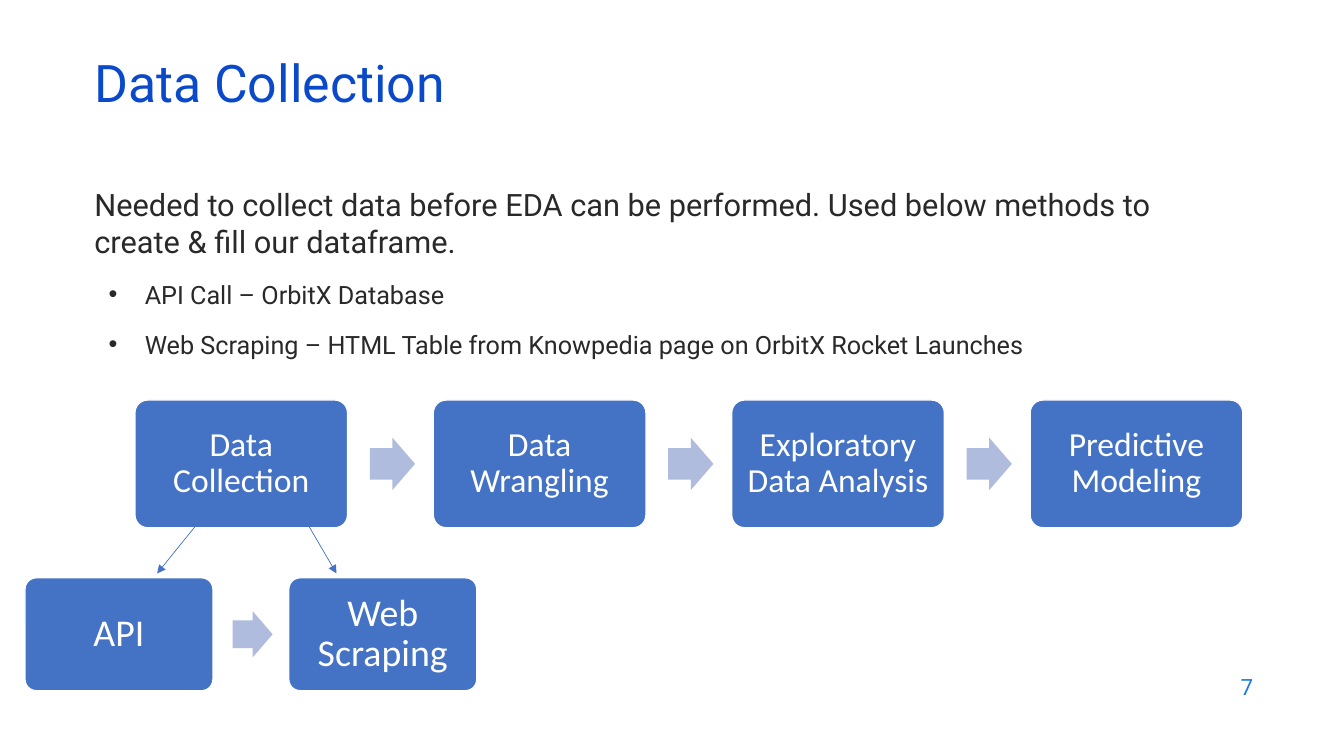
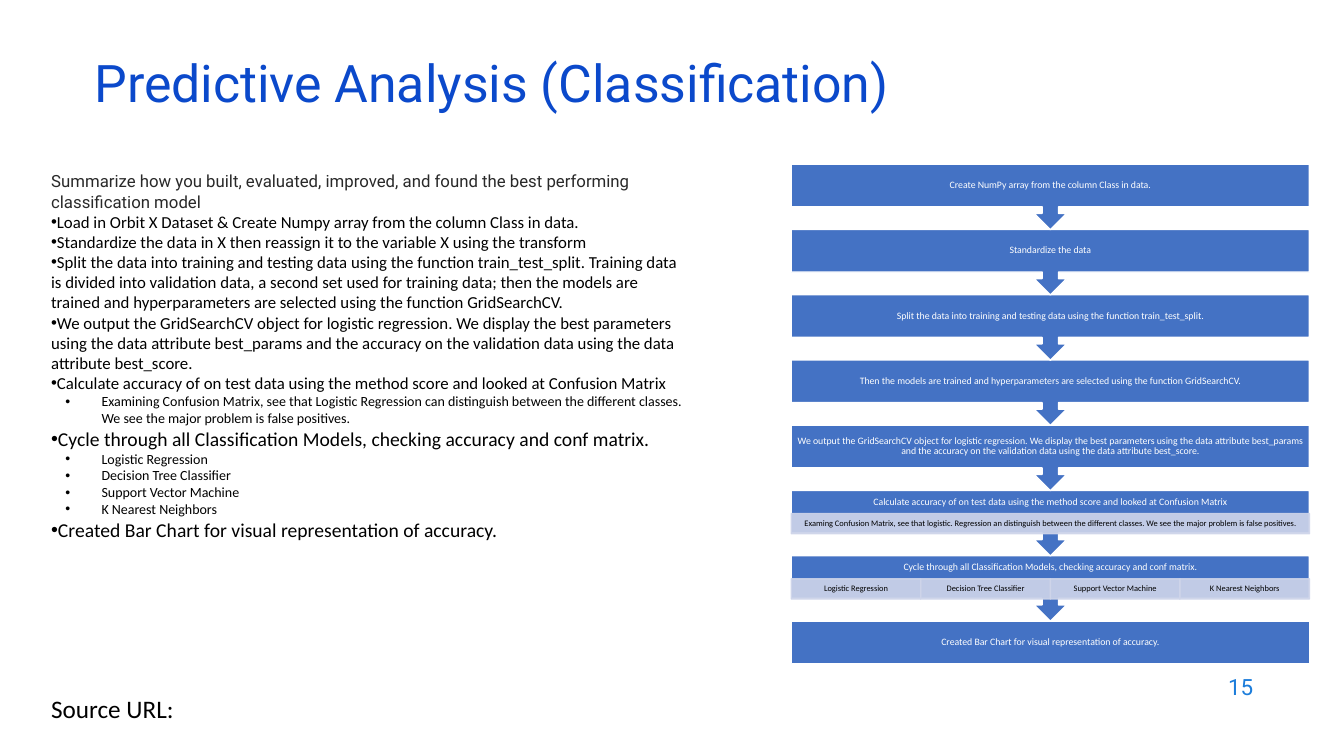
from lxml.etree import SubElement
from pptx import Presentation
from pptx.dml.color import RGBColor
from pptx.enum.shapes import MSO_CONNECTOR, MSO_SHAPE as Shape
from pptx.enum.text import MSO_ANCHOR as Anchor, PP_ALIGN as Align
from pptx.oxml.ns import qn
from pptx.util import Cm, Pt

BLUE, PALE_BLUE, ARROW_BLUE = "4472C4", "CFD5EA", "B0BCDE"
TITLE_BLUE, NUMBER_BLUE = "0B49CB", "1C7DDB"
WHITE, BLACK, DARK = "FFFFFF", "000000", "292929"
HEADING_FONT, BODY_FONT = "Roboto", "Calibri"
color = RGBColor.from_string


def write(paragraph, text, size, font=BODY_FONT, ink=BLACK, level=None):
    paragraph.text = text
    if level is not None:
        properties = paragraph._p.get_or_add_pPr()
        properties.set("marL", str(Cm(1.27 * level)))
        properties.set("indent", str(Cm(-0.91 * level)))
        SubElement(properties, qn("a:buFont"), typeface="Arial")
        SubElement(properties, qn("a:buChar"), char="•")
    paragraph.font.size = Pt(size)
    paragraph.font.name = font
    paragraph.font.color.rgb = color(ink)


def add_box(slide, kind, left, top, width, height, fill, line=None,
            text="", size=12, ink=WHITE, insets=(0, 0, 0)):
    shape = slide.shapes.add_shape(kind, Cm(left), Cm(top), Cm(width), Cm(height))
    shape.shadow.inherit = False
    shape.fill.solid()
    shape.fill.fore_color.rgb = color(fill)
    if line:
        shape.line.color.rgb = color(line)
        shape.line.width = Pt(1)
    else:
        shape.line.fill.background()
    if text:
        frame = shape.text_frame
        frame.word_wrap = True
        frame.vertical_anchor = Anchor.MIDDLE
        side, above, below = insets
        frame.margin_left = frame.margin_right = Cm(side)
        frame.margin_top, frame.margin_bottom = Cm(above), Cm(below)
        paragraph = frame.paragraphs[0]
        paragraph.alignment = Align.CENTER
        paragraph.line_spacing = 0.9
        write(paragraph, text, size, ink=ink)
    return shape


presentation = Presentation()
presentation.slide_width = Cm(33.87)
presentation.slide_height = Cm(19.05)

pages = [
    ("Data Collection", "7", (2.13, 4.55, 29.21, 4.98), 14, [
        ("Needed to collect data before EDA can be performed. Used below methods to create & fill our dataframe.",
         22, HEADING_FONT, DARK, None),
        ("API Call – OrbitX Database", 18, HEADING_FONT, DARK, 1),
        ("Web Scraping – HTML Table from Knowpedia page on OrbitX Rocket Launches",
         18, HEADING_FONT, DARK, 1),
    ]),
    ("Predictive Analysis (Classification)", "15", (1.04, 4.19, 16.43, 12.98), 0, [
        ("Summarize how you built, evaluated, improved, and found the best performing classification model",
         12, HEADING_FONT, DARK, None),
        ("Load in Orbit X Dataset & Create Numpy array from the column Class in data.",
         12, BODY_FONT, BLACK, 0),
        ("Standardize the data in X then reassign it to the variable X using the transform",
         12, BODY_FONT, BLACK, 0),
        ("Split the data into training and testing data using the function train_test_split. "
         "Training data is divided into validation data, a second set used for training data; "
         "then the models are trained and hyperparameters are selected using the function GridSearchCV.",
         12, BODY_FONT, BLACK, 0),
        ("We output the GridSearchCV object for logistic regression. We display the best parameters "
         "using the data attribute best_params and the accuracy on the validation data using the data "
         "attribute best_score.", 12, BODY_FONT, BLACK, 0),
        ("Calculate accuracy of on test data using the method score and looked at Confusion Matrix",
         12, BODY_FONT, BLACK, 0),
        ("Examining Confusion Matrix, see that Logistic Regression can distinguish between the different "
         "classes. We see the major problem is false positives.", 10, BODY_FONT, BLACK, 1),
        ("Cycle through all Classification Models, checking accuracy and conf matrix.",
         14, BODY_FONT, BLACK, 0),
        ("Logistic Regression", 10, BODY_FONT, BLACK, 1),
        ("Decision Tree Classifier", 10, BODY_FONT, BLACK, 1),
        ("Support Vector Machine", 10, BODY_FONT, BLACK, 1),
        ("K Nearest Neighbors", 10, BODY_FONT, BLACK, 1),
        ("Created Bar Chart for visual representation of accuracy.", 14, BODY_FONT, BLACK, 0),
    ]),
]

for title, number, body_place, space, lines in pages:
    slide = presentation.slides.add_slide(presentation.slide_layouts[6])

    frame = slide.shapes.add_textbox(Cm(2.13), Cm(1.5), Cm(29.21), Cm(1.52)).text_frame
    frame.word_wrap = True
    frame.vertical_anchor = Anchor.MIDDLE
    frame.paragraphs[0].line_spacing = 0.7
    write(frame.paragraphs[0], title, 37, HEADING_FONT, TITLE_BLUE)

    frame = slide.shapes.add_textbox(Cm(24.21), Cm(16.74), Cm(7.62), Cm(1.12)).text_frame
    frame.word_wrap = True
    frame.vertical_anchor = Anchor.MIDDLE
    frame.paragraphs[0].alignment = Align.RIGHT
    write(frame.paragraphs[0], number, 16, HEADING_FONT, NUMBER_BLUE)

    frame = slide.shapes.add_textbox(*map(Cm, body_place)).text_frame
    frame.word_wrap = True
    for index, (text, size, font, ink, level) in enumerate(lines):
        paragraph = frame.add_paragraph() if index else frame.paragraphs[0]
        if index:
            paragraph.space_before = Pt(space)
        write(paragraph, text, size, font, ink, level)

collection_slide, analysis_slide = presentation.slides

processes = [
    (3.4, 10.08, 1, 24, 0.25,
     ["Data Collection", "Data Wrangling", "Exploratory Data Analysis", "Predictive Modeling"]),
    (0.63, 14.56, 0.884, 27, 0.28, ["API", "Web Scraping"]),
]
for left, top, scale, size, inset, steps in processes:
    width, height, pitch = 5.36 * scale, 3.22 * scale, 7.52 * scale
    arrow_width, arrow_height = 1.14 * scale, 1.32 * scale
    for index, step in enumerate(steps):
        step_left = left + index * pitch
        box = add_box(collection_slide, Shape.ROUNDED_RECTANGLE, step_left, top, width, height,
                      BLUE, WHITE, step, size, insets=(inset, inset, inset))
        box.adjustments[0] = 0.1
        if index < len(steps) - 1:
            arrow = add_box(collection_slide, Shape.RIGHT_ARROW, step_left + 5.92 * scale,
                            top + (height - arrow_height) / 2, arrow_width, arrow_height, ARROW_BLUE)
            arrow.adjustments[0] = 0.6
            arrow.adjustments[1] = 0.5

for ends in [(5.44, 12.62, 3.96, 14.45), (7.37, 12.55, 8.48, 14.45)]:
    connector = collection_slide.shapes.add_connector(MSO_CONNECTOR.STRAIGHT, *map(Cm, ends))
    connector.line.color.rgb = color(BLUE)
    connector.line.width = Pt(0.5)
    SubElement(connector.line._get_or_add_ln(), qn("a:tailEnd"), type="triangle")
    SubElement(connector._element.spPr, qn("a:effectLst"))

stages = [
    ("Create NumPy array from the column Class in data.", []),
    ("Standardize the data", []),
    ("Split the data into training and testing data using the function train_test_split.", []),
    ("Then the models are trained and hyperparameters are selected using the function GridSearchCV.", []),
    ("We output the GridSearchCV object for logistic regression. We display the best parameters using "
     "the data attribute best_params and the accuracy on the validation data using the data attribute "
     "best_score.", []),
    ("Calculate accuracy of on test data using the method score and looked at Confusion Matrix",
     ["Examing Confusion Matrix, see that logistic. Regression an distinguish between the different "
      "classes. We see the major problem is false positives."]),
    ("Cycle through all Classification Models, checking accuracy and conf matrix.",
     ["Logistic Regression", "Decision Tree Classifier", "Support Vector Machine", "K Nearest Neighbors"]),
    ("Created Bar Chart for visual representation of accuracy.", []),
]
flow_left, flow_top, flow_width = 19.94, 4.14, 13.06
last_top = 15.65
stage_pitch = (last_top - flow_top) / (len(stages) - 1)
for index in reversed(range(len(stages))):
    text, details = stages[index]
    top = flow_top + index * stage_pitch
    last = index == len(stages) - 1
    kind, height = (Shape.RECTANGLE, 1.07) if last else (Shape.DOWN_ARROW_CALLOUT, 1.65)
    add_box(analysis_slide, kind, flow_left, top, flow_width, height, BLUE, WHITE, text, 7,
            insets=(0.13, 0.13, 0.6) if details else (0.13, 0.13, 0.13))
    for column, detail in enumerate(details):
        detail_width = flow_width / len(details)
        box = add_box(analysis_slide, Shape.RECTANGLE, flow_left + column * detail_width, top + 0.58,
                      detail_width, 0.51, PALE_BLUE, PALE_BLUE, detail, 6, BLACK, (0.13, 0.03, 0.03))
        for tint in box._element.spPr.iter(qn("a:srgbClr")):
            SubElement(tint, qn("a:alpha"), val="90000")

frame = analysis_slide.shapes.add_textbox(Cm(1.04), Cm(17.35), Cm(21.77), Cm(1.02)).text_frame
frame.word_wrap = True
write(frame.paragraphs[0], "Source URL:", 18)

presentation.save("out.pptx")
